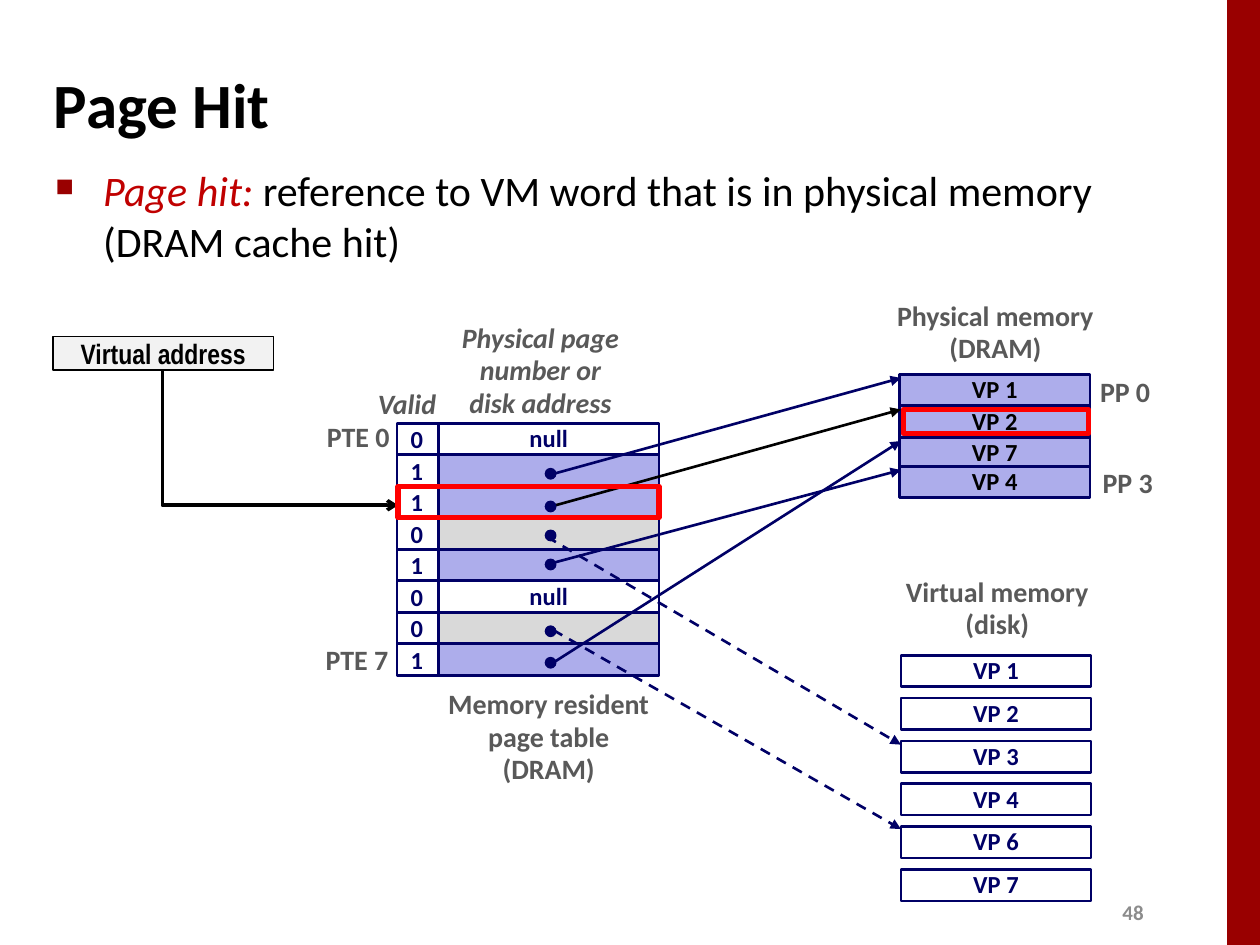
import pptx
import pptx.dml.color
import pptx.enum.dml
import pptx.enum.shapes
import pptx.enum.text
import pptx.util
from lxml import etree
from pptx.oxml.ns import qn

NAVY, LILAC, GREY, WHITE, BLACK = "000066", "ADADEB", "D9D9D9", "FFFFFF", "000000"
LABEL, RED, CRIMSON, BRICK = "595959", "FF0000", "C00000", "990000"
ALIGN = {"l": pptx.enum.text.PP_ALIGN.LEFT, "c": pptx.enum.text.PP_ALIGN.CENTER,
         "r": pptx.enum.text.PP_ALIGN.RIGHT}
SHAPES = pptx.enum.shapes.MSO_SHAPE
STRAIGHT = pptx.enum.shapes.MSO_CONNECTOR.STRAIGHT
ELBOW = pptx.enum.shapes.MSO_CONNECTOR.ELBOW

ROW = 0.25
TABLE_TOP = 3.36
VALID_LEFT, VALID_WIDTH = 3.15, 0.33
ENTRY_LEFT, ENTRY_WIDTH = VALID_LEFT + VALID_WIDTH, 1.75
DOT_LEFT, DOT = 4.33, 0.08
MEMORY_LEFT, MEMORY_WIDTH = 7.14, 1.51
DISK_LEFT, DISK_TOP, DISK_PITCH = 7.15, 5.2, 0.34
HIT_ROW = 2

# valid bit, entry text, fill
PAGE_TABLE = [("0", "null", WHITE), ("1", "", LILAC), ("1", "", LILAC), ("0", "", GREY),
              ("1", "", LILAC), ("0", "null", WHITE), ("0", "", GREY), ("1", "", LILAC)]
PHYSICAL_PAGES = [("VP 1", 2.97), ("VP 2", 3.22), ("VP 7", 3.47), ("VP 4", 3.7)]
DISK_PAGES = ["VP 1", "VP 2", "VP 3", "VP 4", "VP 6", "VP 7"]
# dot top, arrow start, arrow end, colour, dashed
POINTERS = [
    (3.72, (4.36, 3.77), (7.15, 3.0), NAVY, False),
    (3.98, (4.41, 4.01), (7.15, 3.25), BLACK, False),
    (4.21, (4.34, 4.26), (7.15, 5.91), NAVY, True),
    (4.44, (4.38, 4.47), (7.15, 3.73), NAVY, False),
    (4.97, (4.39, 5.0), (7.15, 6.58), NAVY, True),
    (5.22, (4.39, 5.26), (7.15, 3.5), NAVY, False),
]
# lines, box, alignment, anchor, italic
LABELS = [
    (["Memory resident", "page table", "(DRAM)"], (3.43, 5.41, 1.85, 0.89), "c", "t", False),
    (["Physical memory", "(DRAM)"], (7.01, 2.33, 1.78, 0.63), "c", "t", False),
    (["Virtual memory", "(disk)"], (7.07, 4.52, 1.69, 0.63), "c", "t", False),
    (["Physical page", "number or", "disk address"], (3.56, 2.5, 1.46, 0.89), "c", "m", True),
    (["Valid"], (2.9, 3.03, 0.75, 0.37), "l", "t", True),
    (["PTE 0"], (2.49, 3.29, 0.7, 0.37), "r", "m", False),
    (["PTE 7"], (2.48, 5.06, 0.7, 0.37), "r", "m", False),
    (["PP 0"], (8.63, 2.93, 0.6, 0.37), "c", "m", False),
    (["PP 3"], (8.65, 3.65, 0.6, 0.37), "c", "m", False),
]


def inches(values):
    return [pptx.util.Inches(value) for value in values]


def rgb(color):
    return pptx.dml.color.RGBColor.from_string(color)


def write(shape, lines, size=14, color=NAVY, bold=True, italic=False, font="Calibri",
          align="c", anchor="m", wrap=False, spacing=0.98):
    """Write lines as paragraphs; a line may be a list of (text, color, italic) runs."""
    frame = shape.text_frame
    frame.word_wrap = wrap
    frame.vertical_anchor = (pptx.enum.text.MSO_ANCHOR.MIDDLE if anchor == "m"
                             else pptx.enum.text.MSO_ANCHOR.TOP)
    for index, line in enumerate(lines):
        paragraph = frame.add_paragraph() if index else frame.paragraphs[0]
        paragraph.alignment = ALIGN[align]
        paragraph.line_spacing = spacing
        runs = [(line, color, italic)] if isinstance(line, str) else line
        for text, run_color, run_italic in runs:
            run = paragraph.add_run()
            run.text = text
            run.font.name, run.font.size = font, pptx.util.Pt(size)
            run.font.bold, run.font.italic = bold, run_italic
            run.font.color.rgb = rgb(run_color)


def text_box(slide, box, lines, **style):
    shape = slide.shapes.add_textbox(*inches(box))
    write(shape, lines, **style)
    return shape


def block(slide, box, fill=None, line=NAVY, width=1.5, kind=SHAPES.RECTANGLE):
    shape = slide.shapes.add_shape(kind, *inches(box))
    shape.shadow.inherit = False
    if fill:
        shape.fill.solid()
        shape.fill.fore_color.rgb = rgb(fill)
    else:
        shape.fill.background()
    if line:
        shape.line.color.rgb = rgb(line)
        shape.line.width = pptx.util.Pt(width)
    else:
        shape.line.fill.background()
    return shape


def arrow(slide, start, end, color, width=1.5, dashed=False, head="triangle", kind=STRAIGHT):
    connector = slide.shapes.add_connector(kind, *inches(start + end))
    connector.line.color.rgb = rgb(color)
    connector.line.width = pptx.util.Pt(width)
    if dashed:
        connector.line.dash_style = pptx.enum.dml.MSO_LINE.DASH
    properties = connector._element.spPr
    etree.SubElement(properties.find(qn("a:ln")), qn("a:tailEnd"), type=head)
    etree.SubElement(properties, qn("a:effectLst"))
    return connector


def down_then_right(slide, start, end, **style):
    """Draw a one-bend arrow: a flipped bentConnector2 turned by 270 degrees."""
    (x1, y1), (x2, y2) = start, end
    middle_x, middle_y = (x1 + x2) / 2, (y1 + y2) / 2
    half_x, half_y = (x2 - x1) / 2, (y2 - y1) / 2
    connector = arrow(slide, (middle_x + half_y, middle_y - half_x),
                      (middle_x - half_y, middle_y + half_x), kind=ELBOW, **style)
    properties = connector._element.spPr
    properties.find(qn("a:xfrm")).set("rot", str(270 * 60000))
    properties.find(qn("a:prstGeom")).set("prst", "bentConnector2")


def add_bullet(paragraph, indent):
    properties = paragraph._p.get_or_add_pPr()
    properties.set("marL", str(pptx.util.Inches(indent)))
    properties.set("indent", str(-pptx.util.Inches(indent)))
    color = etree.SubElement(properties, qn("a:buClr"))
    etree.SubElement(color, qn("a:srgbClr"), val=BRICK)
    etree.SubElement(properties, qn("a:buSzPct"), val="60000")
    etree.SubElement(properties, qn("a:buChar"), char="■")


def add_heading(slide):
    block(slide, (9.74, 0, 0.26, 7.5), BRICK, line=None)
    text_box(slide, (8.81, 7.1, 0.4, 0.3), ["48"], size=12, color="8C8C8C", align="l")
    text_box(slide, (0.33, 0.39, 9.06, 0.86), ["Page Hit"], size=36, color=BLACK,
             align="l", wrap=True, spacing=1.0)
    definition = [("Page hit: ", CRIMSON, True),
                  ("reference to VM word that is in physical memory (DRAM cache hit)", BLACK, False)]
    body = text_box(slide, (0.34, 1.26, 9.09, 0.66), [definition], size=24, bold=False,
                    align="l", anchor="t", wrap=True, spacing=1.0)
    add_bullet(body.text_frame.paragraphs[0], 0.38)


def add_page_table(slide):
    for row, (valid, entry, fill) in enumerate(PAGE_TABLE):
        top = TABLE_TOP + row * ROW
        cell = block(slide, (ENTRY_LEFT, top, ENTRY_WIDTH, ROW), fill)
        if entry:
            write(cell, [entry])
        block(slide, (VALID_LEFT, top, VALID_WIDTH, ROW))
        text_box(slide, (VALID_LEFT + 0.01, top - 0.03, 0.31, 0.33), [valid],
                 align="l", anchor="t")


def add_memories(slide):
    for page, top in PHYSICAL_PAGES:
        write(block(slide, (MEMORY_LEFT, top, MEMORY_WIDTH, ROW), LILAC), [page], color=BLACK)
    for row, page in enumerate(DISK_PAGES):
        top = DISK_TOP + row * DISK_PITCH
        write(block(slide, (DISK_LEFT, top, MEMORY_WIDTH, ROW), WHITE), [page])


def add_hit(slide):
    address = block(slide, (0.42, 2.67, 1.75, 0.27), "F2F2F2", BLACK, 1)
    write(address, ["Virtual address"], size=16, color=BLACK, font="Arial Narrow",
          wrap=True, spacing=1.0)
    hit_top = TABLE_TOP + HIT_ROW * ROW
    down_then_right(slide, (1.29, 2.93), (3.16, 4.01), color=BLACK, width=2, head="arrow")
    block(slide, (7.17, 3.25, 1.47, 0.19), line=RED, width=3)
    block(slide, (VALID_LEFT + 0.01, hit_top, 2.07, ROW), line=RED, width=3)


def main():
    deck = pptx.Presentation()
    deck.slide_width, deck.slide_height = inches((10, 7.5))
    slide = deck.slides.add_slide(deck.slide_layouts[6])
    add_heading(slide)
    add_page_table(slide)
    add_memories(slide)
    for lines, box, align, anchor, italic in LABELS:
        text_box(slide, box, lines, size=16, color=LABEL, align=align, anchor=anchor, italic=italic)
    for dot_top, start, end, color, dashed in POINTERS:
        arrow(slide, start, end, color, dashed=dashed)
        block(slide, (DOT_LEFT, dot_top, DOT, DOT), NAVY, width=1, kind=SHAPES.OVAL)
    add_hit(slide)
    deck.save("out.pptx")


if __name__ == "__main__":
    main()
